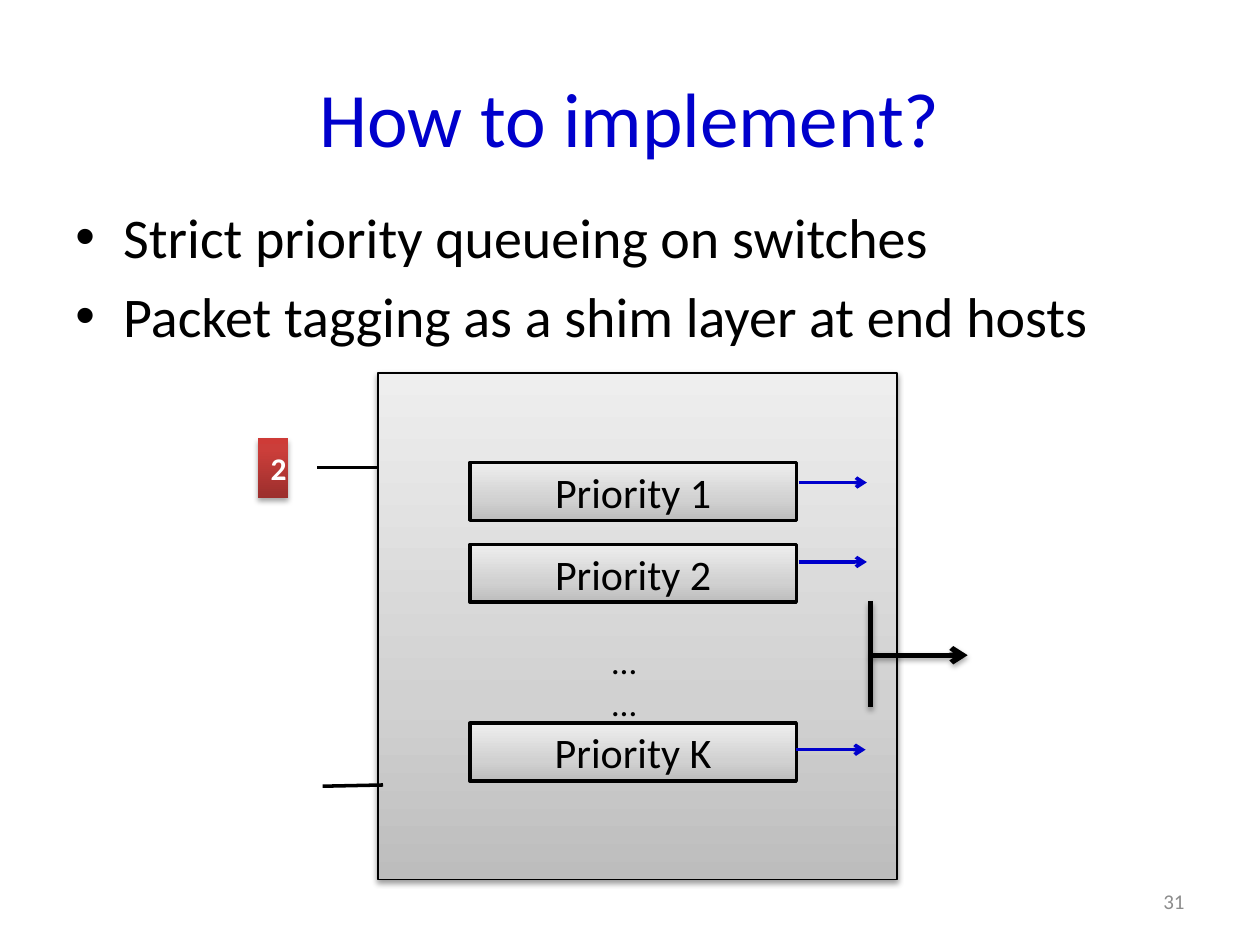
"""Build a slide on strict priority queueing with packet tags."""
from copy import deepcopy

from lxml import etree
from pptx import Presentation
from pptx.dml.color import RGBColor
from pptx.enum.shapes import MSO_CONNECTOR, MSO_SHAPE
from pptx.enum.text import MSO_ANCHOR, PP_ALIGN
from pptx.oxml.ns import qn
from pptx.util import Inches, Pt

BLUE = RGBColor(0x00, 0x00, 0xCC)
BLACK = RGBColor(0x00, 0x00, 0x00)
WHITE = RGBColor(0xFF, 0xFF, 0xFF)
MUTED = RGBColor(0x8C, 0x8C, 0x8C)
GRAYS = [(0, RGBColor(0xBD, 0xBD, 0xBD)), (0.35, RGBColor(0xD1, 0xD1, 0xD1)),
         (1, RGBColor(0xEE, 0xEE, 0xEE))]
REDS = [(0, RGBColor(0x9C, 0x2F, 0x2D)), (0.8, RGBColor(0xCB, 0x3E, 0x3A)),
        (1, RGBColor(0xCE, 0x3B, 0x37))]
LEFT, CENTER, RIGHT = PP_ALIGN.LEFT, PP_ALIGN.CENTER, PP_ALIGN.RIGHT
TOP, MIDDLE = MSO_ANCHOR.TOP, MSO_ANCHOR.MIDDLE
RECT, LINE = MSO_SHAPE.RECTANGLE, MSO_CONNECTOR.STRAIGHT

TITLE = "How to implement?"
POINTS = ["Strict priority queueing on switches",
          "Packet tagging as a shim layer at end hosts"]
QUEUES = [("Priority 1", 3.67), ("Priority 2", 4.32), ("Priority K", 5.74)]
INPUTS = [(2.52, 3.71, 3, 3.71), (2.56, 6.24, 3.04, 6.23)]
MOVES = [(6.34, 3.83, 6.88, 3.83), (6.34, 4.46, 6.88, 4.46),
         (6.32, 5.95, 6.87, 5.95)]
BAR = (6.91, 4.77, 6.91, 5.61)
EXIT = (6.91, 5.2, 7.68, 5.2)


def write(shape, lines, size, color, align=LEFT, anchor=TOP, bold=False):
    frame = shape.text_frame
    frame.word_wrap = True
    frame.vertical_anchor = anchor
    frame.text = "\n".join(lines)
    for para in frame.paragraphs:
        para.alignment = align
        for run in para.runs:
            font = run.font
            font.name, font.size, font.bold = "Calibri", Pt(size), bold
            font.color.rgb = color


def label(shapes, at, lines, size, color, align=LEFT, anchor=TOP):
    box = shapes.add_textbox(*map(Inches, at))
    write(box, lines, size, color, align, anchor)
    return box


def bullet(para):
    props = para._p.get_or_add_pPr()
    props.set("marL", str(Inches(0.38)))
    props.set("indent", str(-Inches(0.38)))
    font = etree.SubElement(props, qn("a:buFont"))
    font.set("typeface", "Arial")
    etree.SubElement(props, qn("a:buChar")).set("char", "•")


def shade(effects, alpha, drop):
    outer = etree.SubElement(effects, qn("a:outerShdw"), blurRad=str(Pt(3.1)),
                             dist=str(Pt(drop)), dir="5400000", rotWithShape="0")
    color = etree.SubElement(outer, qn("a:srgbClr"), val=str(BLACK))
    etree.SubElement(color, qn("a:alpha"), val=str(alpha * 1000))


def block(shapes, at, stops, width=0, shadow=None):
    shape = shapes.add_shape(RECT, *map(Inches, at))
    shape.fill.gradient()
    shape.fill.gradient_angle = 90
    props = shape._element.spPr
    ramp = props.find(".//" + qn("a:gsLst"))
    ramp.append(deepcopy(ramp[0]))
    for stop, (place, color) in zip(shape.fill.gradient_stops, stops):
        stop.position = place
        stop.color.rgb = color
    if width:
        shape.line.color.rgb = BLACK
        shape.line.width = Pt(width)
    else:
        shape.line.fill.background()
    shape.shadow.inherit = False
    if shadow:
        shade(props.find(qn("a:effectLst")), *shadow)
    return shape


def wire(shapes, ends, color, width, arrow=False, shadow=None):
    link = shapes.add_connector(LINE, *map(Inches, ends))
    link.line.color.rgb = color
    link.line.width = Pt(width)
    props = link._element.spPr
    if arrow:
        etree.SubElement(props.find(qn("a:ln")), qn("a:tailEnd"), type="arrow")
    effects = etree.SubElement(props, qn("a:effectLst"))
    if shadow:
        shade(effects, *shadow)


def main():
    deck = Presentation()
    deck.slide_width, deck.slide_height = Inches(10), Inches(7.5)
    slide = deck.slides.add_slide(deck.slide_layouts[6])
    shapes = slide.shapes

    label(shapes, (0.5, 0.3, 9, 1.25), [TITLE], 44, BLUE, CENTER, MIDDLE)
    block(shapes, (3, 2.96, 4.12, 4.02), GRAYS, 0.75, (38, 1.6))
    for ends in INPUTS:
        wire(shapes, ends, BLACK, 2)
    for name, top in QUEUES:
        queue = block(shapes, (3.73, top, 2.59, 0.46), GRAYS, 2)
        write(queue, [name], 24, BLACK, CENTER, MIDDLE)
    label(shapes, (4.76, 5.03, 0.45, 0.37), ["……"], 20, BLACK)

    merge = shapes.add_group_shape().shapes
    wire(merge, BAR, BLACK, 3, shadow=(35, 1.8))
    wire(merge, EXIT, BLACK, 3, True, (35, 1.8))
    for ends in MOVES:
        wire(shapes, ends, BLUE, 2, True)

    body = label(shapes, (0.5, 1.56, 9.07, 4.95), POINTS, 32, BLACK)
    for rank, para in enumerate(body.text_frame.paragraphs):
        para.space_before = Pt(6.4 if rank else 0)
        bullet(para)

    tag = block(shapes, (2.05, 3.48, 0.24, 0.47), REDS, shadow=(35, 1.8))
    write(tag, ["2"], 18, WHITE, CENTER, MIDDLE, True)
    label(shapes, (7.17, 6.95, 2.33, 0.4), ["31"], 12, MUTED, RIGHT, MIDDLE)
    deck.save("out.pptx")


if __name__ == "__main__":
    main()
